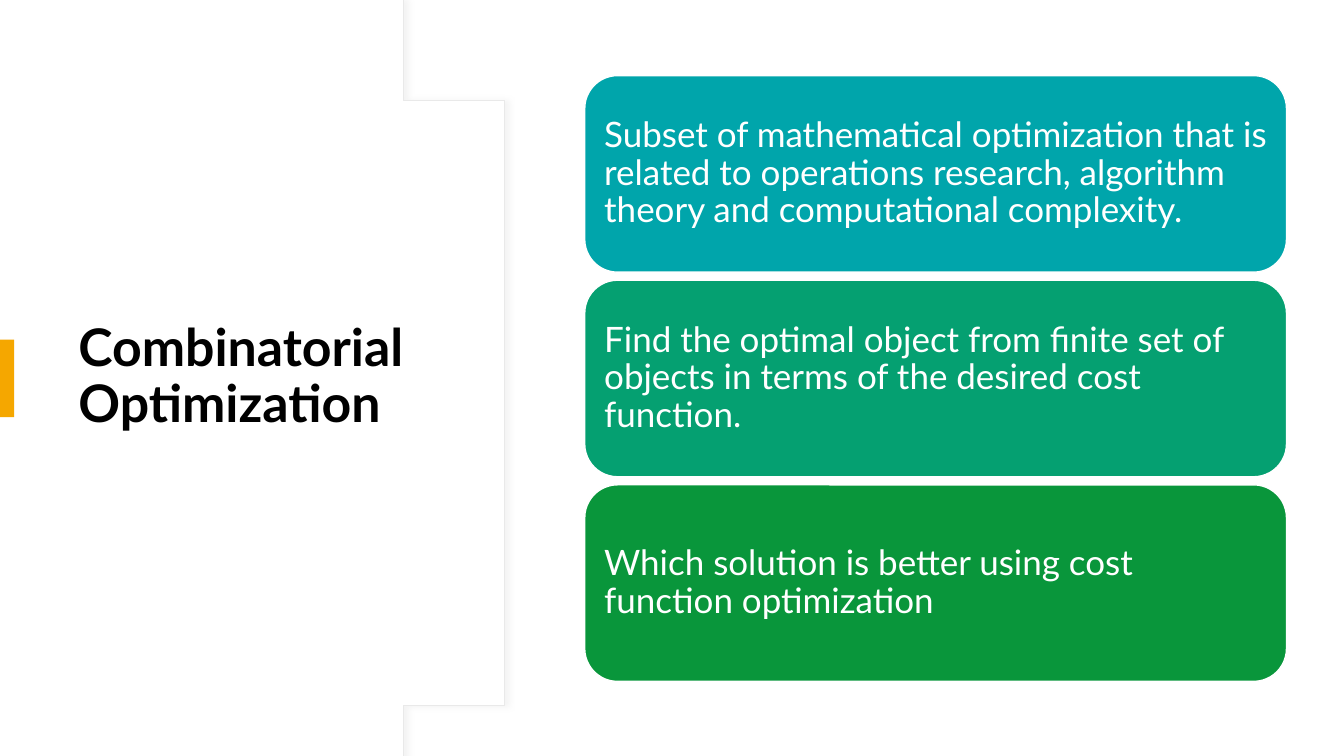
from lxml import etree
from pptx import Presentation
from pptx.dml.color import RGBColor
from pptx.enum import shapes, text
from pptx.oxml import ns
from pptx.util import Inches, Pt

FONT = "Lato"
COLORS = {
    "white": "FFFFFF", "black": "000000", "outline": "E9E9E9", "shadow": "D9D9D9",
    "accent": "F5A700", "teal": "00A5AB", "sea": "05A071", "green": "09963B",
}
TITLE = "Combinatorial Optimization"
CARDS = [
    ("teal", "Subset of mathematical optimization that is related to operations "
             "research, algorithm theory and computational complexity."),
    ("sea", "Find the optimal object from finite set of objects in terms of the "
            "desired cost function."),
    ("green", "Which solution is better using cost function optimization"),
]
CARD_LEFT, CARD_TOP, CARD_WIDTH, CARD_HEIGHT, CARD_PITCH = 5.8, 0.75, 6.96, 1.95, 2.03
SLIDE_WIDTH, SLIDE_HEIGHT = 13.33, 7.5
# Upper half of the panel's curved edge, as Bezier control points
PANEL_CURVE = [(4.01, 0.08), (4.79, 1.02), (5.27, 2.32), (5.27, 3.75)]
CURVE_STEPS = 40


def color(name):
    return RGBColor.from_string(COLORS[name])


def style(shape, fill, line=None, width=0.75):
    shape.shadow.inherit = False
    shape.fill.solid()
    shape.fill.fore_color.rgb = color(fill)
    if line:
        shape.line.color.rgb = color(line)
        shape.line.width = Pt(width)
    else:
        shape.line.fill.background()


def write(shape, words, size, font_color, bold=False):
    frame = shape.text_frame
    frame.word_wrap = True
    frame.vertical_anchor = text.MSO_ANCHOR.MIDDLE
    paragraph = frame.paragraphs[0]
    paragraph.text = words
    paragraph.alignment = text.PP_ALIGN.LEFT
    paragraph.line_spacing = 0.9
    font = paragraph.font
    font.name, font.size, font.bold = FONT, Pt(size), bold
    font.color.rgb = color(font_color)
    return frame


def bezier(points, t):
    weights = ((1 - t) ** 3, 3 * t * (1 - t) ** 2, 3 * t ** 2 * (1 - t), t ** 3)
    return tuple(sum(w * p[axis] for w, p in zip(weights, points)) for axis in (0, 1))


def add_soft_shadow(shape):
    effects = shape._element.spPr.find(ns.qn("a:effectLst"))
    shadow = etree.SubElement(effects, ns.qn("a:outerShdw"), blurRad=str(Pt(4)),
                              dist=str(Pt(3)), dir="0", algn="l", rotWithShape="0")
    tint = etree.SubElement(shadow, ns.qn("a:srgbClr"), val=COLORS["shadow"])
    etree.SubElement(tint, ns.qn("a:alpha"), val="30000")


def add_panel(slide):
    upper = [bezier(PANEL_CURVE, step / CURVE_STEPS) for step in range(CURVE_STEPS + 1)]
    lower = [(x, SLIDE_HEIGHT - y) for x, y in reversed(upper[:-1])]
    edge = [(3.94, 0), *upper, *lower, (3.94, SLIDE_HEIGHT), (0, SLIDE_HEIGHT)]
    builder = slide.shapes.build_freeform(0, 0, scale=Inches(1))
    builder.add_line_segments(edge, close=True)
    panel = builder.convert_to_shape()
    style(panel, "white", "outline")
    add_soft_shadow(panel)


def add_title(slide):
    title = slide.shapes.add_textbox(Inches(0.68), Inches(1.27), Inches(3.94), Inches(4.95))
    write(title, TITLE, 37, "black", bold=True)
    marker = slide.shapes.add_shape(shapes.MSO_SHAPE.RECTANGLE, 0, Inches(3.37),
                                    Inches(0.14), Inches(0.77))
    style(marker, "accent")


def add_cards(slide):
    for index, (fill, words) in enumerate(CARDS):
        card = slide.shapes.add_shape(
            shapes.MSO_SHAPE.ROUNDED_RECTANGLE, Inches(CARD_LEFT),
            Inches(CARD_TOP + index * CARD_PITCH), Inches(CARD_WIDTH), Inches(CARD_HEIGHT))
        style(card, fill, "white", 1)
        frame = write(card, words, 25, "white")
        frame.margin_left = frame.margin_right = Inches(0.1)
        frame.margin_top = frame.margin_bottom = Inches(0.1)
        frame.paragraphs[0].space_after = Pt(8.75)


def main():
    presentation = Presentation()
    presentation.slide_width = Inches(SLIDE_WIDTH)
    presentation.slide_height = Inches(SLIDE_HEIGHT)
    slide = presentation.slides.add_slide(presentation.slide_layouts[6])
    add_panel(slide)
    add_title(slide)
    add_cards(slide)
    presentation.save("out.pptx")


if __name__ == "__main__":
    main()
